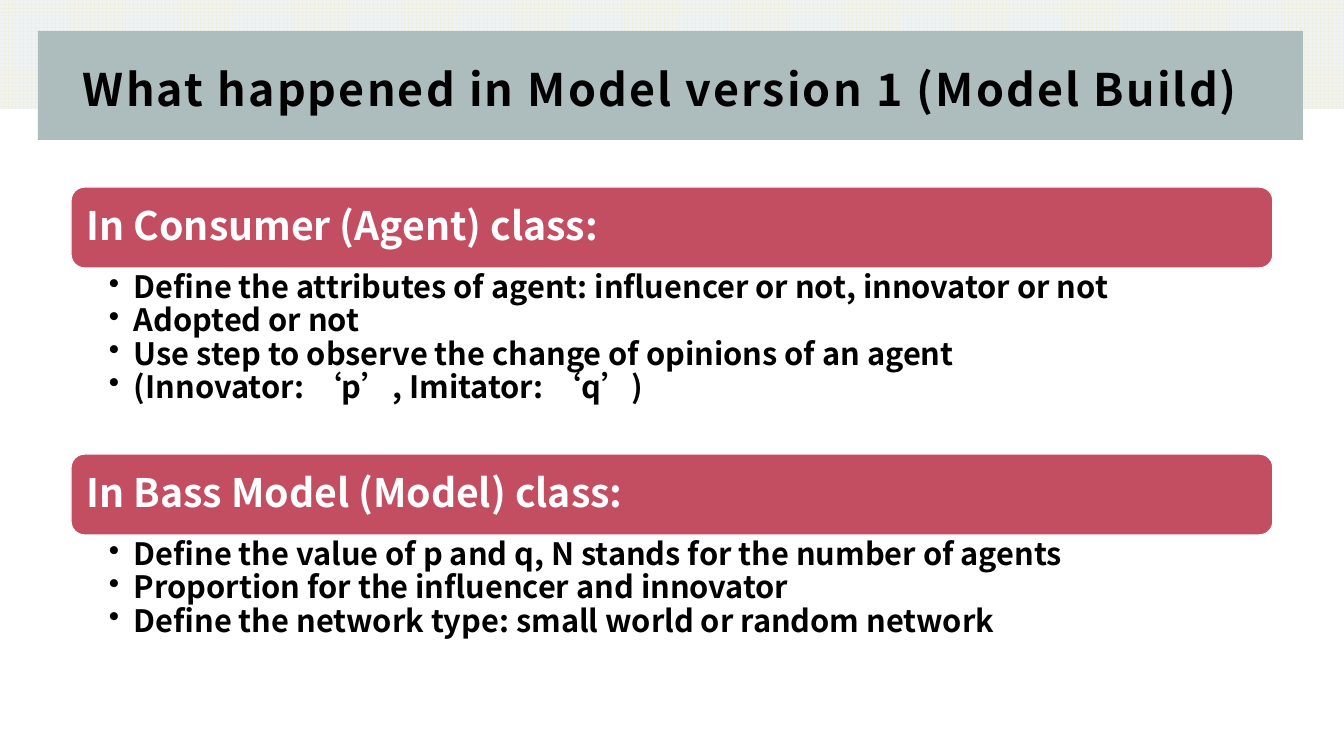
"""Build the slide on what happened in Model version 1."""
from lxml import etree
from pptx import Presentation
from pptx.dml.color import RGBColor
from pptx.enum.dml import MSO_PATTERN
from pptx.enum.shapes import MSO_SHAPE
from pptx.enum.text import MSO_ANCHOR
from pptx.oxml.ns import qn
from pptx.util import Pt

RECT = MSO_SHAPE.RECTANGLE
ROUNDED = MSO_SHAPE.ROUNDED_RECTANGLE
LARGE_GRID = MSO_PATTERN.LARGE_GRID
TOP, MIDDLE = MSO_ANCHOR.TOP, MSO_ANCHOR.MIDDLE
PX = 914400 / 100.8
FONT = "Noto Sans CJK SC"
LEFT, WIDTH, HEADER_HEIGHT = 71, 1202, 81

SECTIONS = [
    (187, 185, "In Consumer (Agent) class:", [
        "Define the attributes of agent: influencer or not, innovator or not",
        "Adopted or not",
        "Use step to observe the change of opinions of an agent",
        "(Innovator: ‘p’, Imitator: ‘q’)",
    ]),
    (454, 140, "In Bass Model (Model) class:", [
        "Define the value of p and q, N stands for the number of agents",
        "Proportion for the influencer and innovator",
        "Define the network type: small world or random network",
    ]),
]


def rgb(value):
    return RGBColor.from_string(value)


def write(shape, lines, size, color, spacing, anchor, insets, bullet=False, tracking=0):
    frame = shape.text_frame
    frame.word_wrap = True
    frame.vertical_anchor = anchor
    frame.margin_left, frame.margin_top, frame.margin_right, frame.margin_bottom = [
        round(inset * PX) for inset in insets]
    for number, line in enumerate(lines):
        paragraph = frame.add_paragraph() if number else frame.paragraphs[0]
        paragraph.line_spacing = spacing
        properties = paragraph._p.get_or_add_pPr()
        properties.set("algn", "l")
        if bullet:
            paragraph.level = 1
            properties.set("marL", str(round(25 * PX)))
            properties.set("indent", str(round(-25 * PX)))
            etree.SubElement(properties, qn("a:buChar")).set("char", "•")
        run = paragraph.add_run()
        run.text = line
        run.font.size = Pt(size)
        run.font.bold = True
        run.font.name = FONT
        run.font.color.rgb = rgb(color)
        run_properties = run._r.get_or_add_rPr()
        etree.SubElement(run_properties, qn("a:ea")).set("typeface", FONT)
        if tracking:
            run_properties.set("spc", str(tracking))


deck = Presentation()
deck.slide_width, deck.slide_height = round(1344 * PX), round(756 * PX)
slide = deck.slides.add_slide(deck.slide_layouts[6])
shapes = slide.shapes

grid_strip = shapes.add_shape(RECT, 0, 0, deck.slide_width, round(109 * PX))
grid_strip.shadow.inherit = False
grid_strip.line.fill.background()
grid_strip.fill.patterned()
grid_strip.fill.pattern = LARGE_GRID
grid_strip.fill.fore_color.rgb = rgb("EFEEE3")
grid_strip.fill.back_color.rgb = rgb("F0F3F3")

title_band = shapes.add_shape(
    RECT, *[round(length * PX) for length in (38, 31, 1265, 109)])
title_band.shadow.inherit = False
title_band.line.fill.background()
title_band.fill.solid()
title_band.fill.fore_color.rgb = rgb("ADBDBD")

title = shapes.add_textbox(*[round(length * PX) for length in (LEFT, 52, WIDTH, 76)])
write(title, ["What happened in Model version 1 (Model Build)"], 32, "000000",
      0.95, MIDDLE, (12, 12, 12, 10), tracking=150)

for top, details_height, heading, details in SECTIONS:
    header = shapes.add_shape(
        ROUNDED, *[round(length * PX) for length in (LEFT, top, WIDTH, HEADER_HEIGHT)])
    header.shadow.inherit = False
    header.fill.solid()
    header.fill.fore_color.rgb = rgb("C34D61")
    header.line.color.rgb = rgb("FFFFFF")
    header.line.width = Pt(1)
    write(header, [heading], 28, "FFFFFF", 0.9, MIDDLE, (12, 12, 12, 12))

    detail_box = shapes.add_textbox(*[
        round(length * PX)
        for length in (LEFT, top + HEADER_HEIGHT, WIDTH, details_height)])
    write(detail_box, details, 22, "000000", 0.9, TOP, (38, 4, 22, 4), bullet=True)

deck.save("out.pptx")
